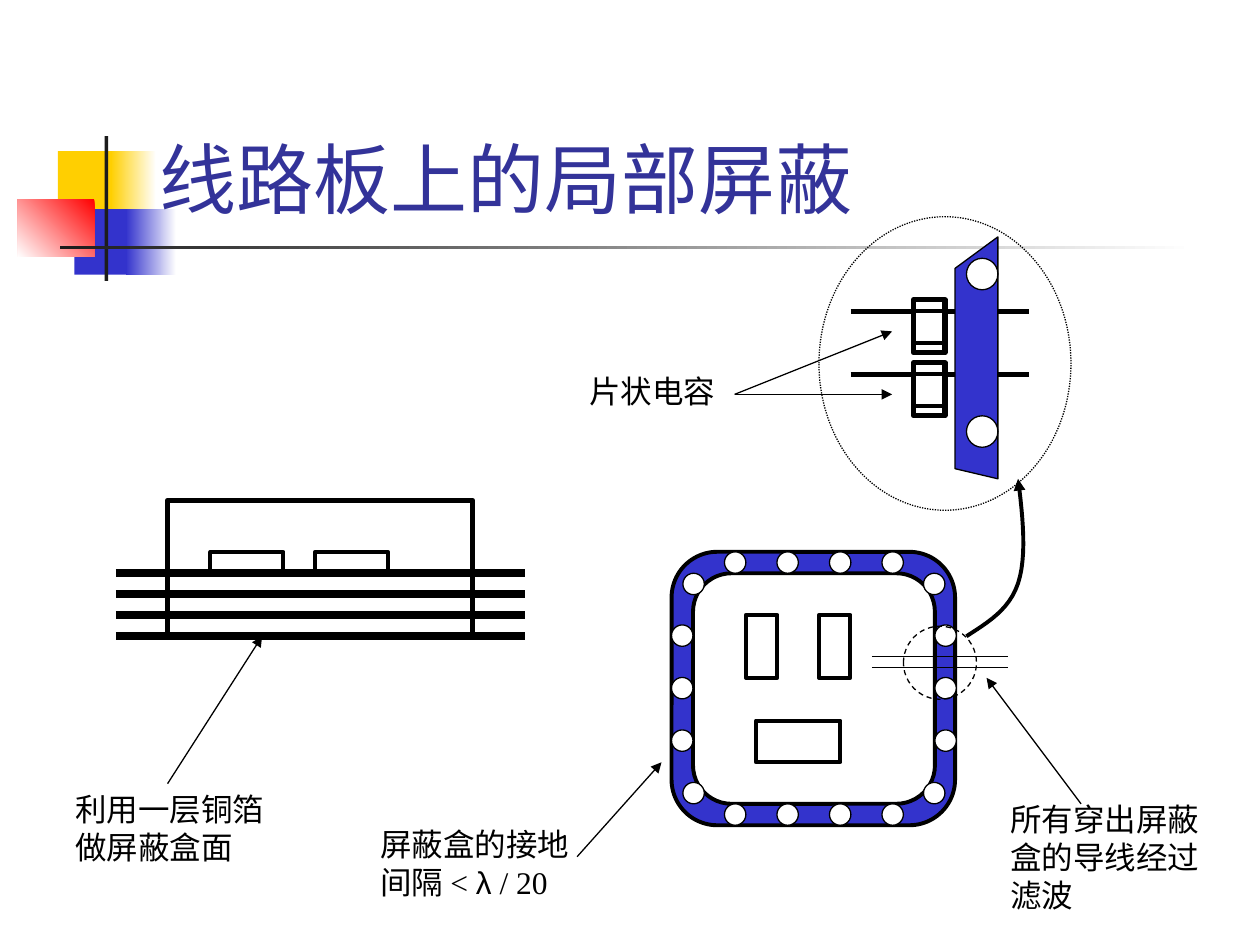
from pptx import Presentation
from pptx import util as u
from pptx.dml.color import RGBColor
from pptx.enum import dml, shapes, text
from pptx.oxml.ns import qn
from lxml import etree

BLACK = RGBColor(0x00, 0x00, 0x00)
WHITE = RGBColor(0xFF, 0xFF, 0xFF)
BLUE = RGBColor(0x33, 0x33, 0xCC)
YELLOW = RGBColor(0xFF, 0xCF, 0x01)
RED = RGBColor(0xFF, 0x00, 0x00)
CHARCOAL = RGBColor(0x1C, 0x1C, 0x1C)
TITLE_BLUE = RGBColor(0x33, 0x33, 0x99)

RECT = shapes.MSO_SHAPE.RECTANGLE
ROUNDED = shapes.MSO_SHAPE.ROUNDED_RECTANGLE
OVAL = shapes.MSO_SHAPE.OVAL
SERIF = "Times New Roman"


def inch(value):
    """Convert a drawing coordinate in inches to a Cm length."""
    return u.Cm(value * 2.54)


def style_line(line, width, dash=None, arrow=False):
    line.color.rgb = BLACK
    line.width = u.Pt(width)
    if dash:
        line.dash_style = dash
    if arrow:
        outline = line._get_or_add_ln()
        etree.SubElement(outline, qn("a:tailEnd"), type="triangle")


def style_shape(shape, fill, width, dash=None, arrow=False):
    shape.shadow.inherit = False
    if fill is None:
        shape.fill.background()
    else:
        shape.fill.solid()
        shape.fill.fore_color.rgb = fill
    if width:
        style_line(shape.line, width, dash, arrow)
    else:
        shape.line.fill.background()


def add_figure(page, kind, bounds, fill=None, width=None, dash=None):
    shape = page.shapes.add_shape(kind, *map(inch, bounds))
    style_shape(shape, fill, width, dash)
    return shape


def add_gradient(page, bounds, start, end, angle=180):
    shape = add_figure(page, RECT, bounds)
    shape.fill.gradient()
    shape.fill.gradient_angle = angle
    for stop, color in zip(shape.fill.gradient_stops, (start, end)):
        stop.color.rgb = color


def add_line(page, start, end, width=0.75, arrow=False):
    line = page.shapes.add_connector(
        shapes.MSO_CONNECTOR.STRAIGHT, *map(inch, (*start, *end)))
    style_line(line.line, width, arrow=arrow)
    etree.SubElement(line._element.spPr, qn("a:effectLst"))


def add_outline(page, points, fill=None, width=0.75, close=False, arrow=False):
    points = [(inch(x), inch(y)) for x, y in points]
    builder = page.shapes.build_freeform(*points[0])
    builder.add_line_segments(points[1:], close=close)
    style_shape(builder.convert_to_shape(), fill, width, arrow=arrow)


def bezier(a, b, c, d, steps=12):
    """Points along a cubic curve, without its first point."""
    for step in range(1, steps + 1):
        t = step / steps
        s = 1 - t
        yield tuple(s**3 * p + 3 * s * s * t * q + 3 * s * t * t * r + t**3 * e
                    for p, q, r, e in zip(a, b, c, d))


def add_text(page, bounds, spans, size=18, color=BLACK,
             anchor=text.MSO_ANCHOR.TOP):
    box = page.shapes.add_textbox(*map(inch, bounds))
    frame = box.text_frame
    frame.word_wrap = True
    frame.vertical_anchor = anchor
    para = frame.paragraphs[0]
    for words, font in spans:
        span = para.add_run()
        span.text = words
        span.font.name = font
        span.font.size = u.Pt(size)
        span.font.color.rgb = color


def add_decoration(page):
    add_figure(page, RECT, (0.46, 1.2, 0.48, 0.52), YELLOW)
    add_gradient(page, (0.88, 1.2, 0.36, 0.52), WHITE, YELLOW)
    add_figure(page, RECT, (0.59, 1.66, 0.46, 0.52), BLUE)
    add_gradient(page, (1, 1.66, 0.4, 0.52), WHITE, BLUE)
    add_gradient(page, (0.14, 1.58, 0.61, 0.46), RED, WHITE, 225)
    add_figure(page, RECT, (0.83, 1.08, 0.03, 1.15), CHARCOAL)
    add_gradient(page, (0.48, 1.95, 9, 0.03), WHITE, CHARCOAL)


def add_board_section(page):
    # Board layers, components and the shield around them
    for layer in range(4):
        y = 4.55 + layer / 6
        add_line(page, (0.92, y), (4.17, y), 4.5)
    for x in (1.67, 2.5):
        add_figure(page, RECT, (x, 4.38, 0.58, 0.17), width=2.25)
    add_outline(page, [(1.33, 5.05), (1.33, 3.97), (3.75, 3.97), (3.75, 5.05)],
                width=3)


def add_shield_plan(page):
    # Shield wall
    for bounds, fill in (((5.33, 4.38, 2.25, 2.17), BLUE),
                         ((5.5, 4.55, 1.92, 1.83), WHITE)):
        wall = add_figure(page, ROUNDED, bounds, fill, 2.25)
        wall.adjustments[0] = 0.167

    # Grounding points: sides, corners, then top and bottom
    pitch = 5 / 12
    holes = [(x, 4.96 + row * pitch) for x in (5.33, 7.42) for row in range(3)]
    holes += [(x, y) for x in (5.42, 7.33) for y in (4.55, 6.21)]
    holes += [(5.75 + column * pitch, y)
              for y in (4.38, 6.38) for column in range(4)]
    for x, y in holes:
        add_figure(page, OVAL, (x, y, 0.17, 0.17), WHITE, 0.75)

    # Wires leaving the shield, and components inside it
    for y in (5.21, 5.3):
        add_line(page, (6.92, y), (8, y))
    add_figure(page, OVAL, (7.17, 4.97, 0.58, 0.58), width=0.75,
               dash=dml.MSO_LINE.DASH)
    for bounds in ((5.92, 4.88, 0.25, 0.5), (6.5, 4.88, 0.25, 0.5),
                   (6, 5.72, 0.67, 0.33)):
        add_figure(page, RECT, bounds, width=2.25)


def add_filter_detail(page):
    # Wires with chip capacitors
    for y in (2.47, 2.97):
        add_line(page, (6.75, y), (8.17, y), 3)
        add_figure(page, RECT, (7.25, y - 0.09, 0.25, 0.42), WHITE, 3)
        for edge in (y, y + 0.25):
            add_line(page, (7.25, edge), (7.5, edge), 2.25)

    # Wall piece, magnifier circle and the curve leading to it
    add_outline(page, [(7.58, 2.13), (7.58, 3.72), (7.92, 3.8), (7.92, 1.88)],
                BLUE, close=True)
    add_figure(page, OVAL, (6.5, 1.72, 2, 2.33), width=0.75,
               dash=dml.MSO_LINE.ROUND_DOT)
    start, middle, end = (7.67, 5.05), (8.08, 4.63), (8.08, 3.8)
    curve = [start,
             *bezier(start, (7.84, 4.94), (8.01, 4.84), middle),
             *bezier(middle, (8.15, 4.42), (8.12, 4.11), end)]
    add_outline(page, curve, width=2.25, arrow=True)
    for y in (2.05, 3.3):
        add_figure(page, OVAL, (7.67, y, 0.25, 0.25), WHITE, 0.75)


def add_callouts(page):
    add_text(page, (0.5, 6.22, 1.83, 0.7), [("利用一层铜箔做屏蔽盒面", SERIF)])
    add_text(page, (2.92, 6.5, 1.83, 0.7),
             [("屏蔽盒的接地间隔 < ", SERIF), ("λ", "Arial"), (" / 20", SERIF)])
    add_text(page, (7.92, 6.3, 1.83, 1), [("所有穿出屏蔽盒的导线经过滤波", SERIF)])
    add_text(page, (4.58, 2.9, 1.5, 0.4), [("片状电容", SERIF)])
    for start, end in (((1.33, 6.22), (2.08, 5.05)),
                       ((4.58, 6.8), (5.25, 6.05)),
                       ((8.58, 6.38), (7.83, 5.38)),
                       ((5.83, 3.13), (7.08, 2.63)),
                       ((5.83, 3.13), (7.08, 3.13))):
        add_line(page, start, end, arrow=True)


def main():
    deck = Presentation()
    deck.slide_width, deck.slide_height = u.Cm(25.4), u.Cm(19.05)
    page = deck.slides.add_slide(deck.slide_layouts[6])
    add_decoration(page)
    add_text(page, (1.17, 0.58, 8.5, 1.25), [("线路板上的局部屏蔽", "Cabin")],
             44, TITLE_BLUE, text.MSO_ANCHOR.BOTTOM)
    add_board_section(page)
    add_shield_plan(page)
    add_filter_detail(page)
    add_callouts(page)
    deck.save("out.pptx")


if __name__ == "__main__":
    main()
